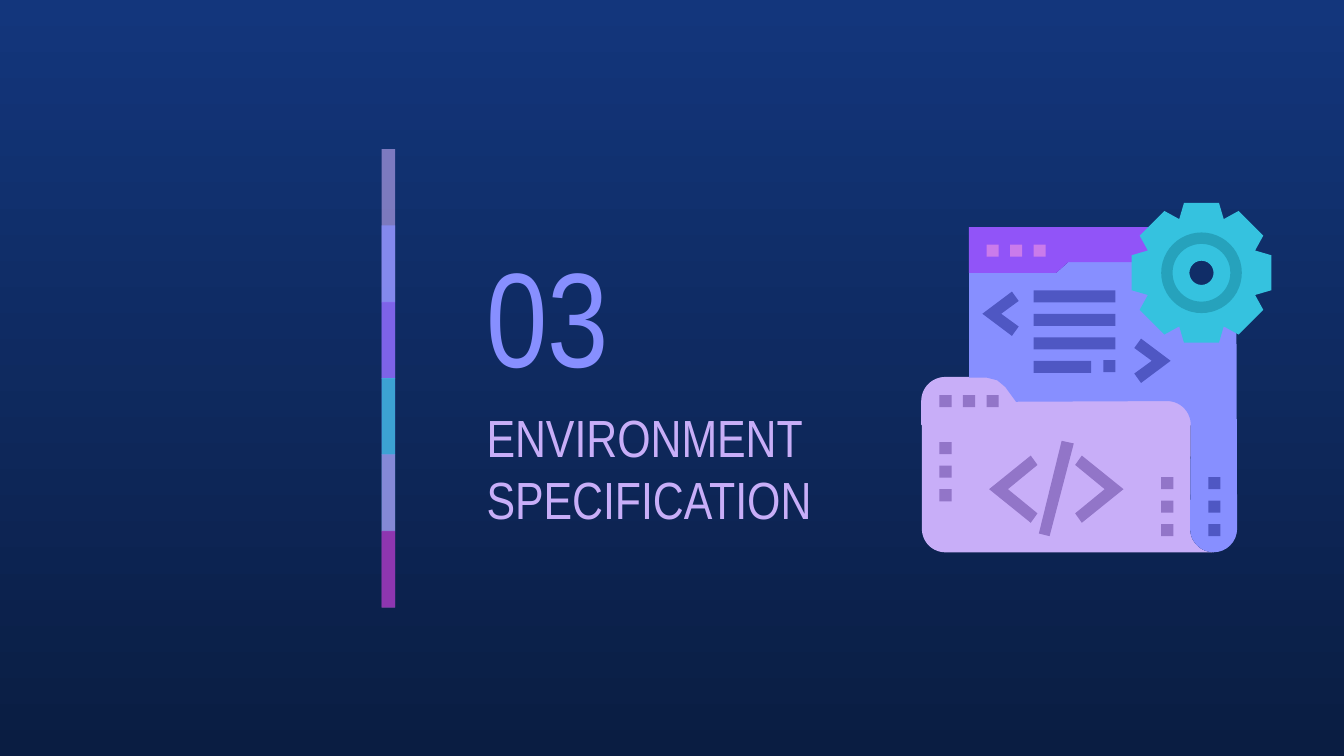
import math

import pptx
import pptx.util
import pptx.dml.color
import pptx.enum.shapes
import pptx.enum.text
import pptx.oxml
import pptx.oxml.ns

Inches = pptx.util.Inches
Pt = pptx.util.Pt
MSO_SHAPE = pptx.enum.shapes.MSO_SHAPE

COLORS = {
    "bg_top": "13367C", "bg_bottom": "0A1D42", "periwinkle": "878FFF",
    "lilac": "C8AEF8", "violet": "9154F8", "cyan": "35C2DF", "teal": "26A2BC",
    "pink": "CA7BEB", "mauve": "9275C8", "indigo": "4F57C3", "purple": "972CB4",
}
GEAR_CENTER = (8.94, 2.03)
CORNER = 0.175
DOT, DOT_STEP = 0.09, 0.175


def rgb(name):
    return pptx.dml.color.RGBColor.from_string(COLORS[name])


def paint(sp, color, alpha=None):
    sp.shadow.inherit = False
    sp.fill.solid()
    sp.fill.fore_color.rgb = rgb(color)
    sp.line.fill.background()
    if alpha is not None:
        clr = sp.fill._xPr.find(".//" + pptx.oxml.ns.qn("a:srgbClr"))
        node = pptx.oxml.parse_xml(
            f'<a:alpha {pptx.oxml.ns.nsdecls("a")} val="{alpha * 1000}"/>')
        clr.append(node)
    return sp


def add_preset(shapes, kind, x, y, w, h, color, alpha=None):
    sp = shapes.add_shape(kind, Inches(x), Inches(y), Inches(w), Inches(h))
    return paint(sp, color, alpha)


def add_rect(shapes, x, y, w, h, color, alpha=None):
    return add_preset(shapes, MSO_SHAPE.RECTANGLE, x, y, w, h, color, alpha)


def add_outline(shapes, color, *contours):
    """Filled outline; further contours cut holes."""
    rings = [[(Inches(x), Inches(y)) for x, y in c] for c in contours]
    fb = shapes.build_freeform(*rings[0][0], scale=1.0)
    fb.add_line_segments(rings[0][1:], close=True)
    for ring in rings[1:]:
        fb.move_to(*ring[0])
        fb.add_line_segments(ring[1:], close=True)
    return paint(fb.convert_to_shape(), color)


def arc(cx, cy, r, start, end, steps=16):
    """Points on an arc; degrees run clockwise from the right."""
    angles = [math.radians(start + (end - start) * i / steps)
              for i in range(steps + 1)]
    return [(cx + r * math.cos(a), cy + r * math.sin(a)) for a in angles]


def add_ring(shapes, r_out, r_in, color):
    cx, cy = GEAR_CENTER
    sp = add_preset(shapes, MSO_SHAPE.DONUT, cx - r_out, cy - r_out,
                    2 * r_out, 2 * r_out, color)
    sp.adjustments[0] = (r_out - r_in) / (2 * r_out)


def add_gear(shapes):
    cx, cy = GEAR_CENTER
    tooth = [(-0.165, -0.4), (-0.13, -0.52), (0.13, -0.52), (0.165, -0.4)]
    teeth = []
    for k in range(8):
        c, s = math.cos(k * math.pi / 4), math.sin(k * math.pi / 4)
        teeth += [(cx + x * c - y * s, cy + x * s + y * c) for x, y in tooth]
    add_outline(shapes, "cyan", teeth, arc(cx, cy, 0.26, 0, 360, 48))
    add_ring(shapes, 0.26, 0.09, "cyan")
    add_ring(shapes, 0.3, 0.215, "teal")


def add_dots(shapes, x, y, color, dx=0, dy=0):
    for i in range(3):
        add_rect(shapes, x + i * dx, y + i * dy, DOT, DOT, color)


def add_chevron(shapes, x, y, w, h, color, left=True):
    pts = [(w - 0.05, 0), (0, h / 2), (w - 0.05, h), (w, h - 0.07),
           (0.14, h / 2), (w, 0.07)]
    add_outline(shapes, color,
                [(x + (px if left else w - px), y + py) for px, py in pts])


def add_icon(s):
    shapes = s.shapes.add_group_shape().shapes

    # Folder
    slope = [(7.56, 2.99), (7.48, 2.88), (7.42, 2.83), (7.34, 2.81)]
    shoulder = arc(8.685, 3.16, CORNER, 0, -90)
    add_outline(shapes, "lilac",
                [(6.86, 3.16)] + arc(7.035, 3.935, CORNER, 180, 90)
                + arc(9.03, 3.935, CORNER, 90, 180) + [(8.86, 3.16)])
    tab = add_outline(shapes, "lilac",
                      arc(7.035, 2.985, CORNER, 270, 180)
                      + [(6.86, 3.16)] + shoulder + slope)
    tab.line.color.rgb = rgb("lilac")
    tab.line.width = Pt(0.75)

    # Document, with its rolled foot, and window bar
    add_outline(shapes, "periwinkle",
                [(7.95, 1.95), (7.86, 2.03), (7.21, 2.03), (7.21, 2.81)]
                + slope[::-1] + shoulder[::-1]
                + arc(9.03, 3.935, CORNER, 180, 0)
                + [(9.2, 2.4), (8.8, 2.4), (8.6, 2.2), (8.6, 1.95)])
    add_outline(shapes, "violet",
                [(7.21, 1.69), (7.21, 2.03), (7.86, 2.03), (7.95, 1.95),
                 (8.55, 1.95), (8.55, 1.69)])
    add_gear(shapes)

    # Rows and columns of dots
    add_dots(shapes, 7.34, 1.82, "pink", dx=DOT_STEP)
    add_dots(shapes, 6.99, 2.94, "mauve", dx=DOT_STEP)
    add_dots(shapes, 6.99, 3.29, "mauve", dy=DOT_STEP)
    add_dots(shapes, 8.64, 3.55, "mauve", dy=DOT_STEP)
    add_dots(shapes, 8.99, 3.55, "indigo", dy=DOT_STEP)

    # Code lines and brackets
    for i, width in enumerate([0.61, 0.61, 0.61, 0.43]):
        add_rect(shapes, 7.69, 2.16 + i * DOT_STEP, width, DOT, "indigo")
    add_rect(shapes, 8.21, 2.68, DOT, DOT, "indigo")
    add_chevron(shapes, 7.31, 2.17, 0.27, 0.33, "indigo")
    add_chevron(shapes, 8.44, 2.52, 0.27, 0.33, "indigo", left=False)
    add_chevron(shapes, 7.36, 3.39, 0.36, 0.5, "mauve")
    add_chevron(shapes, 8, 3.39, 0.36, 0.5, "mauve", left=False)
    add_outline(shapes, "mauve",
                [(7.9, 3.28), (7.73, 3.97), (7.81, 3.99), (7.99, 3.3)])


def add_ribbon(s):
    shapes = s.shapes.add_group_shape().shapes
    bands = [("lilac", 59), ("periwinkle", 74), ("violet", 53),
             ("cyan", 76), ("pink", 56), ("purple", 74)]
    step = 0.57
    for i, (color, alpha) in enumerate(bands):
        height = step if i == len(bands) - 1 else 2 * step
        add_rect(shapes, 2.84, 1.11 + i * 0.568, 0.1, height, color, alpha)


def set_heading(sp, text, x, y, w, h, size, color):
    sp.left, sp.top, sp.width, sp.height = map(Inches, (x, y, w, h))
    tf = sp.text_frame
    tf.text = text
    tf.word_wrap = True
    tf.auto_size = pptx.enum.text.MSO_AUTO_SIZE.NONE
    tf.vertical_anchor = pptx.enum.text.MSO_ANCHOR.MIDDLE
    tf.margin_left = tf.margin_right = Inches(0.1)
    tf.margin_top = tf.margin_bottom = Inches(0.1)
    p = tf.paragraphs[0]
    p.alignment = pptx.enum.text.PP_ALIGN.LEFT
    p.space_before = Pt(0)
    for r in p.runs:
        r.font.name = "Arial Narrow"
        r.font.size = Pt(size)
        r.font.bold = False
        r.font.color.rgb = rgb(color)


def set_background(s):
    fill = s.background.fill
    fill.gradient()
    fill.gradient_angle = 270
    for stop, color in zip(fill.gradient_stops, ("bg_top", "bg_bottom")):
        stop.color.rgb = rgb(color)


def main():
    prs = pptx.Presentation()
    prs.slide_width, prs.slide_height = Inches(10), Inches(5.625)
    s = prs.slides.add_slide(prs.slide_layouts[2])
    set_background(s)
    set_heading(s.shapes.title, "03", 3.52, 1.66, 1.75, 1.35, 72, "periwinkle")
    set_heading(s.placeholders[1], "ENVIRONMENT\vSPECIFICATION",
                3.52, 3, 2.87, 0.96, 28, "lilac")
    add_icon(s)
    add_ribbon(s)
    prs.save("out.pptx")


if __name__ == "__main__":
    main()
